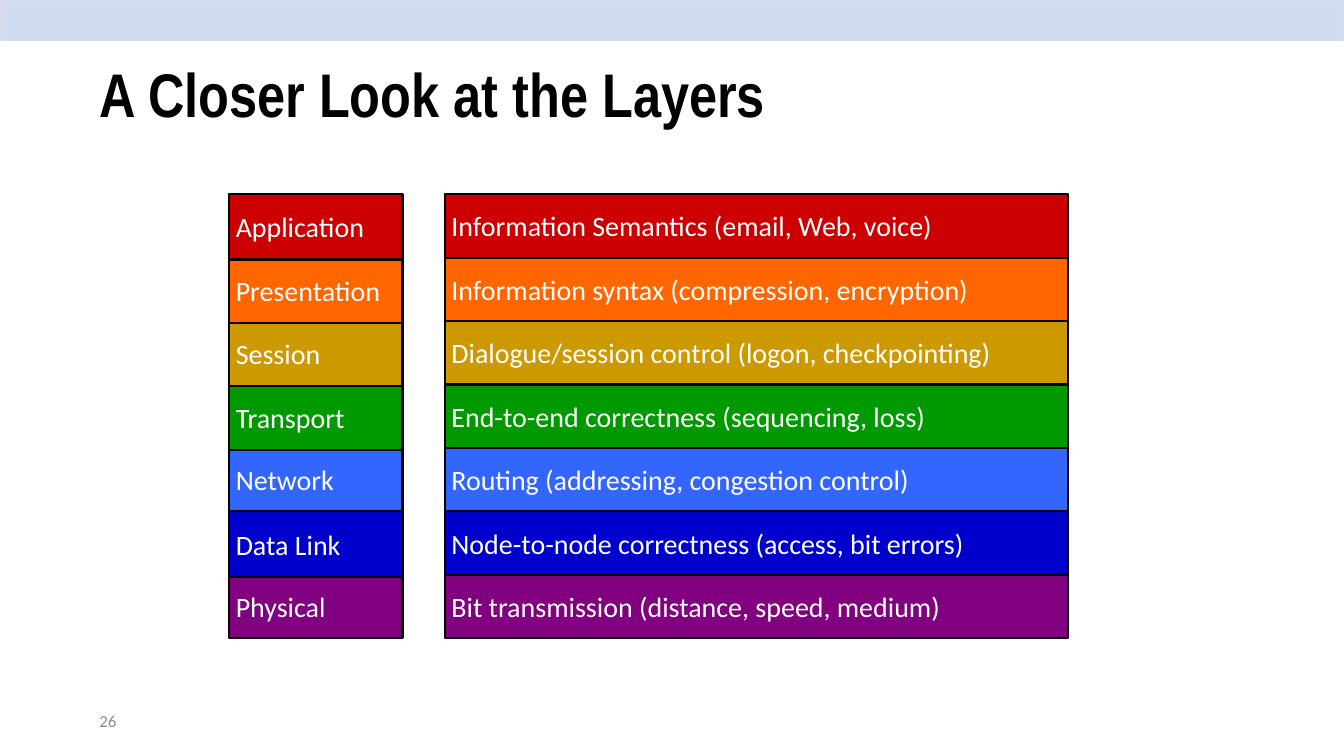
import pptx
import pptx.dml.color
import pptx.enum.shapes
import pptx.enum.text
import pptx.util

Pt = pptx.util.Pt

LAYERS = [
    ("Application", "Information Semantics (email, Web, voice)", "CC0000", 70.5),
    ("Presentation", "Information syntax (compression, encryption)", "FF6600", 70.5),
    ("Session", "Dialogue/session control (logon, checkpointing)", "CC9900", 70.5),
    ("Transport", "End-to-end correctness (sequencing, loss)", "009900", 70.5),
    ("Network", "Routing (addressing, congestion control)", "3366FF", 68.4),
    ("Data Link", "Node-to-node correctness (access, bit errors)", "0000CC", 70.5),
    ("Physical", "Bit transmission (distance, speed, medium)", "800080", 68.4),
]


def color(hex_value):
    return pptx.dml.color.RGBColor.from_string(hex_value)


def write(shape, text, size, font="Calibri", fill="FFFFFF", bold=False, wrap=True, spacing=1.0):
    frame = shape.text_frame
    frame.word_wrap = wrap
    frame.auto_size = pptx.enum.text.MSO_AUTO_SIZE.NONE
    frame.vertical_anchor = pptx.enum.text.MSO_ANCHOR.MIDDLE
    paragraph = frame.paragraphs[0]
    paragraph.alignment = pptx.enum.text.PP_ALIGN.LEFT
    paragraph.line_spacing = spacing
    run = paragraph.add_run()
    run.text = text
    run.font.name = font
    run.font.size = Pt(size)
    run.font.bold = bold
    run.font.color.rgb = color(fill)


def add_bar(shapes, left, top, width, height, fill, line, line_width):
    bar = shapes.add_shape(
        pptx.enum.shapes.MSO_SHAPE.RECTANGLE, Pt(left), Pt(top), Pt(width), Pt(height)
    )
    bar.shadow.inherit = False
    bar.fill.solid()
    bar.fill.fore_color.rgb = color(fill)
    bar.line.color.rgb = color(line)
    bar.line.width = Pt(line_width)
    return bar


def place_title(slide, left, top, width, height):
    title = slide.shapes.title
    title.left, title.top, title.width, title.height = Pt(left), Pt(top), Pt(width), Pt(height)
    write(title, "A Closer Look at the Layers", 66, font="Arial Narrow",
          fill="000000", bold=True, spacing=0.9)


def place_layers(slide, left, top, width, height):
    pitch = height / len(LAYERS)
    name_width = 185.8
    duty_offset = 231.1
    for index, (name, duty, fill, name_height) in reversed(list(enumerate(LAYERS))):
        row = slide.shapes.add_group_shape()
        row_top = top + index * pitch
        cells = [
            (name, left, name_width, name_height),
            (duty, left + duty_offset, width - duty_offset, 68.4),
        ]
        for text, cell_left, cell_width, cell_height in cells:
            cell = add_bar(row.shapes, cell_left, row_top, cell_width, cell_height,
                           fill, "000000", 2.25)
            write(cell, text, 30, wrap=False)


def place_page_number(slide, left, top, width, height):
    number = slide.shapes.add_textbox(Pt(left), Pt(top), Pt(width), Pt(height))
    write(number, "26", 18, fill="8C8C8C")


def main():
    deck = pptx.Presentation()
    deck.slide_width, deck.slide_height = Pt(1440), Pt(810)
    slide = deck.slides.add_slide(deck.slide_layouts[5])
    add_bar(slide.shapes, 0, 0, 1440, 43.2, "D1DBF0", "D9DEEA", 1)
    place_title(slide, 99.4, 26.6, 1242, 156.2)
    place_page_number(slide, 99.4, 751, 324, 43.2)
    place_layers(slide, 245.5, 207.6, 898.6, 476)
    deck.save("out.pptx")


if __name__ == "__main__":
    main()
